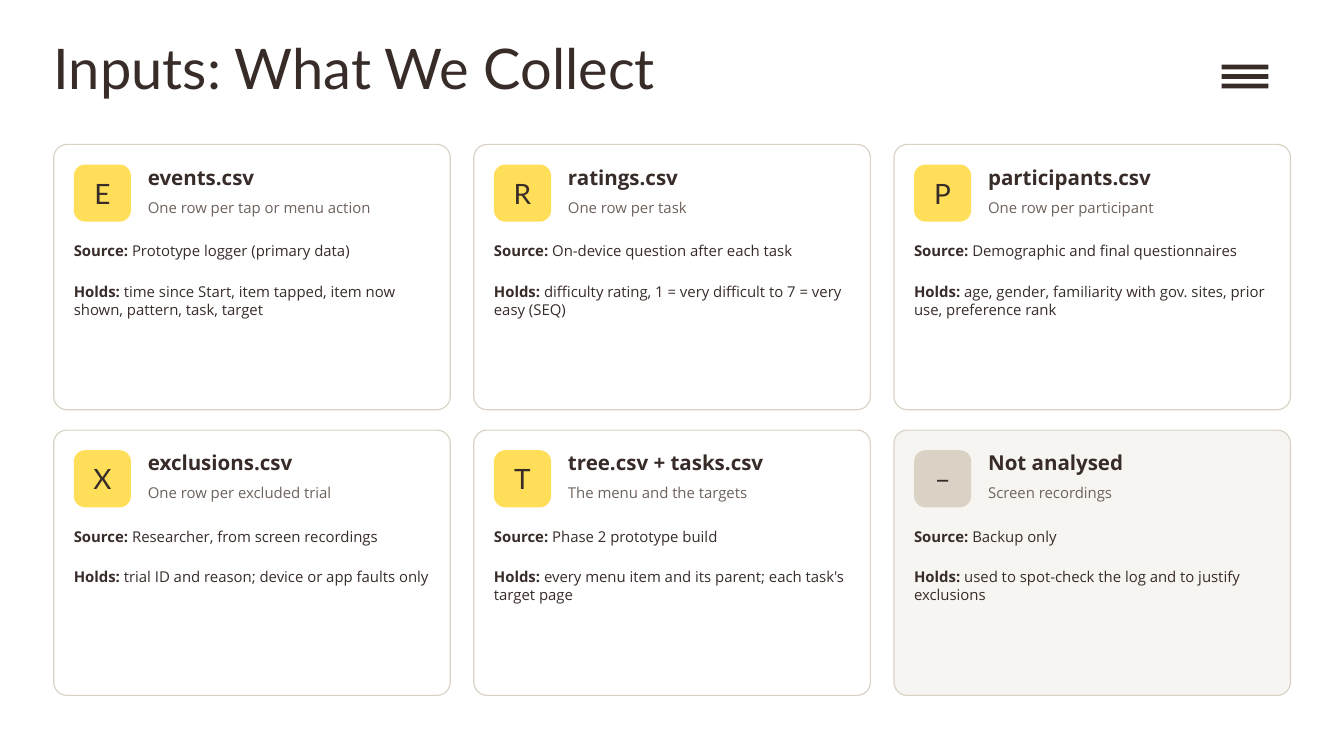
from pptx import Presentation
from pptx.dml.color import RGBColor
from pptx.enum.shapes import MSO_SHAPE
from pptx.enum.text import MSO_ANCHOR, MSO_AUTO_SIZE, PP_ALIGN
from pptx.util import Cm, Pt

INK = RGBColor(0x38, 0x2C, 0x29)
MUTED = RGBColor(0x6E, 0x62, 0x5C)
YELLOW = RGBColor(0xFF, 0xDE, 0x59)
SAND = RGBColor(0xD9, 0xD2, 0xC5)
PALE = RGBColor(0xF7, 0xF5, 0xF1)
WHITE = RGBColor(0xFF, 0xFF, 0xFF)

HEADING_FONT = "Lato"
BODY_FONT = "Open Sans"

# All lengths are in centimetres.
COLUMNS = 3
GRID_LEFT, GRID_TOP = 2.03, 5.46
CARD_WIDTH, CARD_HEIGHT = 14.99, 10.03
COLUMN_STEP, ROW_STEP = 15.88, 10.8
PADDING = 0.76
BADGE_SIZE = 2.16
HEADING_OFFSET = 3.56

# Badge, file name, summary, source, contents
INPUTS = [
    ("E", "events.csv", "One row per tap or menu action",
     "Prototype logger (primary data)",
     "time since Start, item tapped, item now shown, pattern, task, target"),
    ("R", "ratings.csv", "One row per task",
     "On-device question after each task",
     "difficulty rating, 1 = very difficult to 7 = very easy (SEQ)"),
    ("P", "participants.csv", "One row per participant",
     "Demographic and final questionnaires",
     "age, gender, familiarity with gov. sites, prior use, preference rank"),
    ("X", "exclusions.csv", "One row per excluded trial",
     "Researcher, from screen recordings",
     "trial ID and reason; device or app faults only"),
    ("T", "tree.csv + tasks.csv", "The menu and the targets",
     "Phase 2 prototype build",
     "every menu item and its parent; each task's target page"),
    ("–", "Not analysed", "Screen recordings",
     "Backup only",
     "used to spot-check the log and to justify exclusions"),
]


def format_font(font, name, size, color, bold=False):
    font.name = name
    font.size = Pt(size)
    font.color.rgb = color
    font.bold = bold


def clear_margins(text_frame):
    text_frame.margin_left = text_frame.margin_right = 0
    text_frame.margin_top = text_frame.margin_bottom = 0


def add_title(slide, text):
    title = slide.shapes.title
    title.left, title.top = Cm(GRID_LEFT), Cm(1.27)
    title.width, title.height = Cm(41.91), Cm(3.43)
    text_frame = title.text_frame
    text_frame.text = text
    text_frame.auto_size = MSO_AUTO_SIZE.NONE
    text_frame.vertical_anchor = MSO_ANCHOR.TOP
    clear_margins(text_frame)
    paragraph = text_frame.paragraphs[0]
    paragraph.alignment = PP_ALIGN.LEFT
    format_font(paragraph.runs[0].font, HEADING_FONT, 60, INK)


def add_panel(slide, kind, left, top, width, height, fill, line=None):
    """Add a filled shape, outlined only when a line colour is given."""
    shape = slide.shapes.add_shape(kind, Cm(left), Cm(top), Cm(width), Cm(height))
    shape.shadow.inherit = False
    shape.fill.solid()
    shape.fill.fore_color.rgb = fill
    if line is None:
        shape.line.fill.background()
    else:
        shape.line.color.rgb = line
        shape.line.width = Pt(1.25)
    return shape


def add_menu_icon(slide):
    for bar in range(3):
        add_panel(slide, MSO_SHAPE.RECTANGLE, 46.18, 2.44 + bar * 0.36, 1.76, 0.18, INK)


def add_badge(slide, left, top, letter, fill):
    badge = add_panel(slide, MSO_SHAPE.ROUNDED_RECTANGLE, left, top,
                      BADGE_SIZE, BADGE_SIZE, fill)
    badge.adjustments[0] = 0.2
    text_frame = badge.text_frame
    text_frame.text = letter
    text_frame.margin_left = text_frame.margin_right = Cm(0.05)
    text_frame.margin_top = text_frame.margin_bottom = Cm(0.15)
    text_frame.vertical_anchor = MSO_ANCHOR.MIDDLE
    paragraph = text_frame.paragraphs[0]
    paragraph.alignment = PP_ALIGN.CENTER
    paragraph.space_after = Pt(2)
    format_font(paragraph.runs[0].font, HEADING_FONT, 30, INK)


def add_text(slide, left, top, width, height, runs):
    """Add one paragraph from (text, size, colour, bold) runs."""
    box = slide.shapes.add_textbox(Cm(left), Cm(top), Cm(width), Cm(height))
    text_frame = box.text_frame
    text_frame.word_wrap = True
    clear_margins(text_frame)
    paragraph = text_frame.paragraphs[0]
    paragraph.space_after = Pt(6)
    for text, size, color, bold in runs:
        run = paragraph.add_run()
        run.text = text
        format_font(run.font, BODY_FONT, size, color, bold)


def add_labelled_text(slide, left, top, height, label, text):
    add_text(slide, left, top, CARD_WIDTH - 2 * PADDING, height,
             [(f"{label}: ", 16, INK, True), (text, 16, INK, False)])


def add_card(slide, left, top, content, analysed):
    letter, name, summary, source, holds = content
    card = add_panel(slide, MSO_SHAPE.ROUNDED_RECTANGLE, left, top,
                     CARD_WIDTH, CARD_HEIGHT, WHITE if analysed else PALE, SAND)
    card.adjustments[0] = 0.05
    inner_left, inner_top = left + PADDING, top + PADDING
    add_badge(slide, inner_left, inner_top, letter, YELLOW if analysed else SAND)
    heading_left = left + HEADING_OFFSET
    add_text(slide, heading_left, inner_top, 10.92, 1.27, [(name, 22, INK, True)])
    add_text(slide, heading_left, inner_top + 1.27, 10.92, 1.14,
             [(summary, 16, MUTED, False)])
    add_labelled_text(slide, inner_left, top + 3.68, 1.27, "Source", source)
    add_labelled_text(slide, inner_left, top + 5.21, 4.32, "Holds", holds)


def main():
    presentation = Presentation()
    presentation.slide_width = Cm(50.8)
    presentation.slide_height = Cm(28.58)
    title_only = presentation.slide_layouts[5]
    slide = presentation.slides.add_slide(title_only)

    add_title(slide, "Inputs: What We Collect")
    add_menu_icon(slide)
    for index, content in enumerate(INPUTS):
        row, column = divmod(index, COLUMNS)
        add_card(slide, GRID_LEFT + column * COLUMN_STEP, GRID_TOP + row * ROW_STEP,
                 content, analysed=content[1] != "Not analysed")

    presentation.save("out.pptx")


if __name__ == "__main__":
    main()
